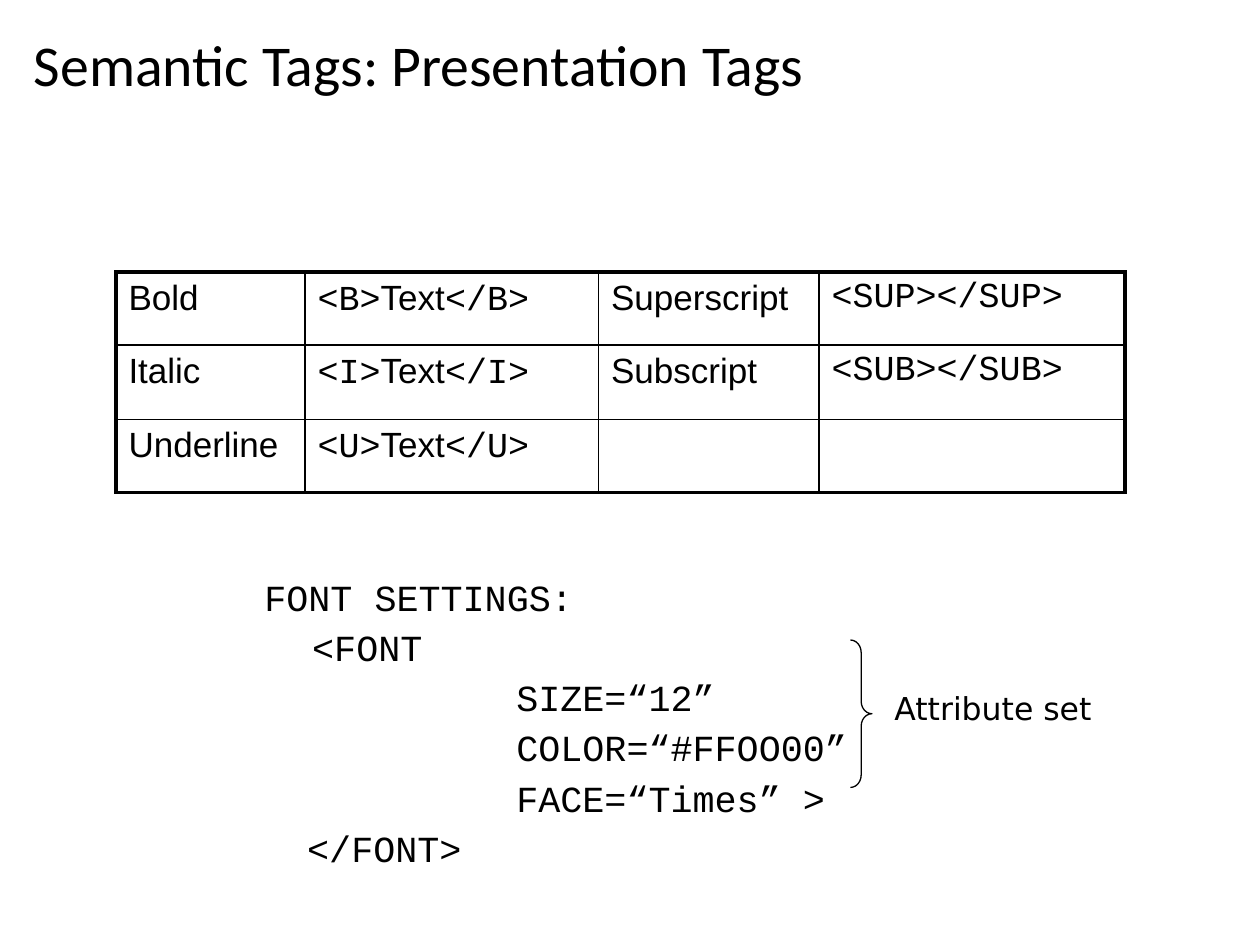
from lxml import etree
from pptx import Presentation
from pptx.dml.color import RGBColor
from pptx.enum.shapes import MSO_SHAPE
from pptx.enum.text import MSO_ANCHOR
from pptx.oxml.ns import qn
from pptx.util import Inches, Pt

BLACK = RGBColor(0, 0, 0)
SANS, MONO = "Arial", "Courier New"
THIN, THICK = Pt(1), Pt(2.25)

# Each cell is a list of (text, font) runs
TAG_ROWS = [
    [[("Bold", SANS)], [("<B>", MONO), ("Text", SANS), ("</B>", MONO)],
     [("Superscript", SANS)], [("<SUP></SUP>", MONO)]],
    [[("Italic", SANS)], [("<I>", MONO), ("Text", SANS), ("</I>", MONO)],
     [("Subscript", SANS)], [("<SUB></SUB>", MONO)]],
    [[("Underline", SANS)], [("<U>", MONO), ("Text", SANS), ("</U>", MONO)],
     [], []],
]
COLUMN_WIDTHS = [1.5, 2.33, 1.75, 2.43]
ROW_HEIGHTS = [0.58, 0.59, 0.58]

# Each code line with its indent in inches
FONT_CODE = [
    ("FONT SETTINGS:", 1.0),
    ("<FONT", 1.38),
    ("SIZE=“12”", 3.0),
    ("COLOR=“#FFOO00”", 3.0),
    ("FACE=“Times” >", 3.0),
    ("</FONT>", 1.34),
]


def style_run(run, font, size):
    run.font.name = font
    run.font.size = Pt(size)
    run.font.color.rgb = BLACK


def add_text(slide, lines, left, top, width, height, font, size):
    box = slide.shapes.add_textbox(
        Inches(left), Inches(top), Inches(width), Inches(height))
    frame = box.text_frame
    frame.word_wrap = True
    frame.text = "\n".join(lines)
    for paragraph in frame.paragraphs:
        style_run(paragraph.runs[0], font, size)
    return frame


def set_borders(cell, edges):
    properties = cell._tc.get_or_add_tcPr()
    for position, (tag, width) in enumerate(edges.items()):
        line = etree.Element(qn(f"a:{tag}"), w=str(width))
        fill = etree.SubElement(line, qn("a:solidFill"))
        etree.SubElement(fill, qn("a:srgbClr"), val=str(BLACK))
        properties.insert(position, line)


def add_title(slide, left, top, width, height):
    frame = add_text(slide, ["Semantic Tags: Presentation Tags"],
                     left, top, width, height, "Calibri", 33)
    frame.vertical_anchor = MSO_ANCHOR.MIDDLE
    frame.paragraphs[0].line_spacing = 0.9


def add_tag_table(slide, left, top):
    row_count, column_count = len(ROW_HEIGHTS), len(COLUMN_WIDTHS)
    tags = slide.shapes.add_table(
        row_count, column_count, Inches(left), Inches(top),
        Inches(sum(COLUMN_WIDTHS)), Inches(sum(ROW_HEIGHTS))).table
    tags.first_row = tags.horz_banding = False
    for column, width in zip(tags.columns, COLUMN_WIDTHS):
        column.width = Inches(width)
    for r, (row, height) in enumerate(zip(tags.rows, ROW_HEIGHTS)):
        row.height = Inches(height)
        for c, cell in enumerate(row.cells):
            cell.fill.background()
            paragraph = cell.text_frame.paragraphs[0]
            paragraph.space_before = Pt(4)
            for text, font in TAG_ROWS[r][c]:
                run = paragraph.add_run()
                run.text = text
                style_run(run, font, 20)
            # Thick outer frame, thin inner grid
            set_borders(cell, {
                "lnL": THICK if c == 0 else THIN,
                "lnR": THICK if c == column_count - 1 else THIN,
                "lnT": THICK if r == 0 else THIN,
                "lnB": THICK if r == row_count - 1 else THIN,
            })


def add_font_code(slide, left, top, width, height):
    frame = add_text(slide, [text for text, _ in FONT_CODE],
                     left, top, width, height, MONO, 21)
    for paragraph, (_, indent) in zip(frame.paragraphs, FONT_CODE):
        paragraph.line_spacing = 0.8
        paragraph.space_before = Pt(8.5)
        paragraph._p.get_or_add_pPr().set("marL", str(Inches(indent)))


def add_attribute_note(slide, left, top):
    brace = slide.shapes.add_shape(
        MSO_SHAPE.RIGHT_BRACE, Inches(left), Inches(top),
        Inches(0.17), Inches(1.17))
    brace.adjustments[0] = 0.58
    brace.adjustments[1] = 0.5
    brace.shadow.inherit = False
    brace.fill.background()
    brace.line.color.rgb = BLACK
    brace.line.width = Pt(0.75)
    add_text(slide, ["Attribute set"], left + 0.25, top + 0.34, 2.42, 0.4,
             "DejaVu Sans", 18)


presentation = Presentation()
presentation.slide_width = Inches(10)
presentation.slide_height = Inches(7.5)
tags_slide = presentation.slides.add_slide(presentation.slide_layouts[6])

add_title(tags_slide, 0.17, 0.24, 8.25, 0.6)
add_tag_table(tags_slide, 0.92, 2.16)
add_font_code(tags_slide, 1, 4.58, 8, 2.34)
add_attribute_note(tags_slide, 6.75, 5.08)

presentation.save("out.pptx")
